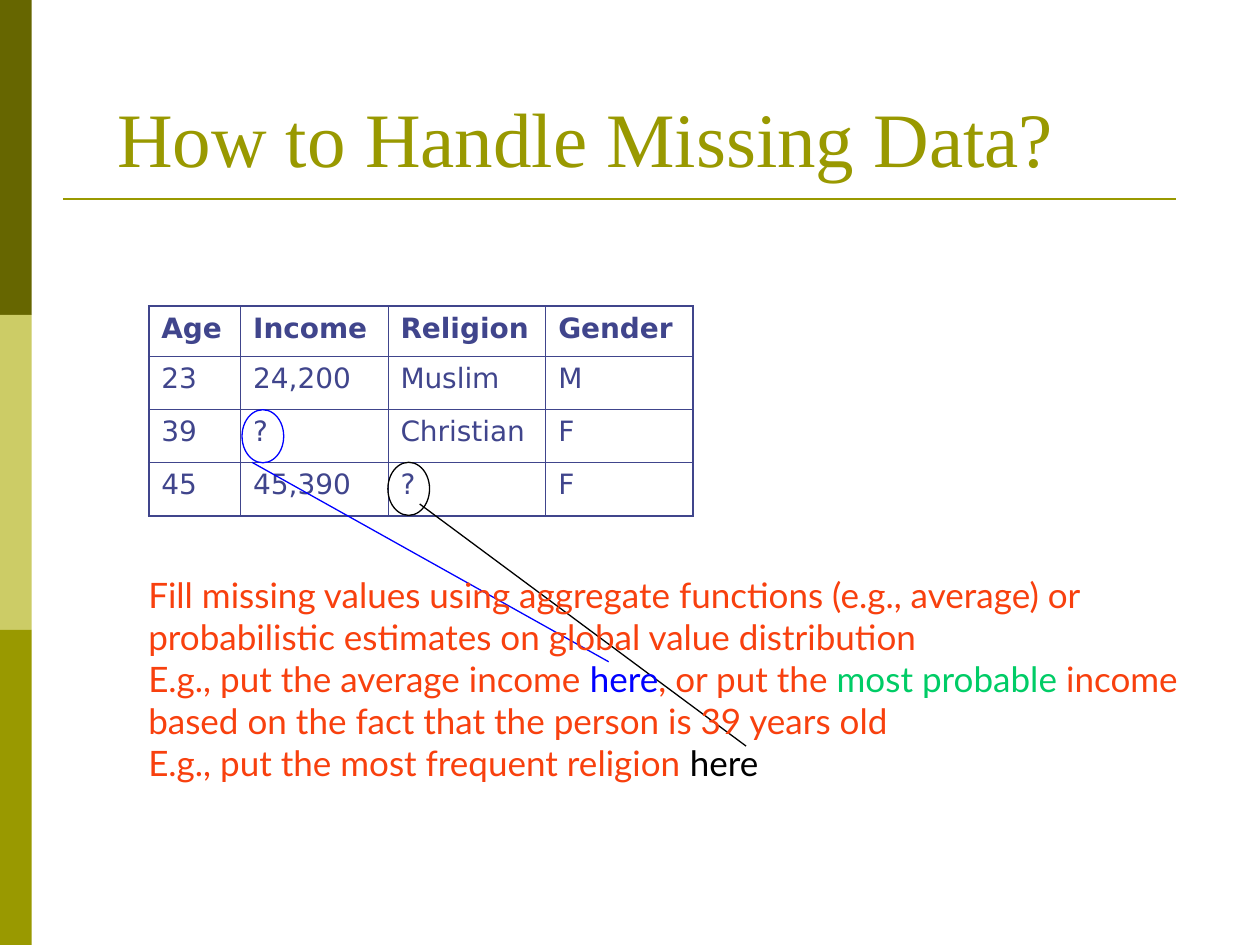
from lxml.etree import SubElement
from pptx import Presentation
from pptx.dml.color import RGBColor as RGB
from pptx.enum.shapes import MSO_CONNECTOR as LINK, MSO_SHAPE as SHAPE
from pptx.enum.text import MSO_ANCHOR as ANCHOR, MSO_AUTO_SIZE as FIT
from pptx.oxml import parse_xml
from pptx.oxml.ns import nsdecls, qn
from pptx.util import Cm, Pt

DARK = RGB(0x66, 0x66, 0x00)
PALE = RGB(0xCC, 0xCC, 0x66)
OLIVE = RGB(0x99, 0x99, 0x00)
INDIGO = RGB(0x40, 0x45, 0x8C)
BLUE = RGB(0x00, 0x00, 0xFF)
BLACK = RGB(0x00, 0x00, 0x00)
ORANGE = RGB(0xF8, 0x40, 0x0E)
GREEN = RGB(0x00, 0xCC, 0x66)

HEAD = {"name": "Times New Roman", "size": Pt(44)}
BODY = {"name": "Lato", "size": Pt(20)}
CELL = {"name": "DejaVu Sans", "size": Pt(16)}

THIN, THICK, PEN = 0.45, 1.08, 0.74
BAR_W, BAR_H = 0.64, 6.35
RING_W, RING_H = 0.84, 1.07

ROWS = [
    ["Age", "Income", "Religion", "Gender"],
    ["23", "24,200", "Muslim", "M"],
    ["39", "?", "Christian", "F"],
    ["45", "45,390", "?", "F"],
]
WIDTHS = [1.85, 2.97, 3.18, 2.97]
HEIGHTS = [1.02, 1.07, 1.07, 1.07]

NOTES = [
    [("Fill missing values using aggregate functions (e.g., average) or "
      "probabilistic estimates on global value distribution", ORANGE)],
    [("E.g., put the average income ", ORANGE), ("here", BLUE),
     (", or put the ", ORANGE), ("most probable", GREEN),
     (" income based on the fact that the person is 39 years old", ORANGE)],
    [("E.g., put the most frequent religion ", ORANGE), ("here", BLACK)],
]


def apply(item, style):
    """Set each named value on an object."""
    for key, value in style.items():
        setattr(item, key, value)


class Page:
    """Hold the slide and draw its elements, with lengths in cm."""

    def __init__(self, slide):
        """Keep the shapes of the slide."""
        self.shapes = slide.shapes

    def add_run(self, para, text, color, style):
        """Add one styled run to a paragraph."""
        run = para.add_run()
        run.text = text
        apply(run.font, style)
        run.font.color.rgb = color

    def shape(self, kind, box, fill=None, line=None):
        """Draw a preset shape with a plain fill or outline."""
        item = self.shapes.add_shape(kind, *map(Cm, box))
        item.shadow.inherit = False
        if fill is None:
            item.fill.background()
        else:
            item.fill.solid()
            item.fill.fore_color.rgb = fill
        if line is None:
            item.line.fill.background()
        else:
            item.line.color.rgb = line
            item.line.width = Pt(PEN)

    def line(self, ends, color, width=PEN):
        """Draw a straight line between two points."""
        item = self.shapes.add_connector(LINK.STRAIGHT, *map(Cm, ends))
        item.line.color.rgb = color
        item.line.width = Pt(width)
        SubElement(item._element.spPr, qn("a:effectLst"))

    def text(self, box, paras, style, **frame):
        """Put paragraphs of coloured runs in a text box."""
        body = self.shapes.add_textbox(*map(Cm, box)).text_frame
        apply(body, {"word_wrap": True, **frame})
        for num, runs in enumerate(paras):
            para = body.add_paragraph() if num else body.paragraphs[0]
            for text, color in runs:
                self.add_run(para, text, color, style)

    def edges(self, cell, sides):
        """Put a border of the given width on each side of a cell."""
        props = cell._tc.get_or_add_tcPr()
        for num, (side, width) in enumerate(sides.items()):
            props.insert(num, parse_xml(
                f'<a:ln{side} {nsdecls("a")} w="{Pt(width)}"><a:solidFill>'
                f'<a:srgbClr val="{INDIGO}"/></a:solidFill></a:ln{side}>'))

    def table(self, left, top, rows, widths, heights):
        """Draw a ruled table with a bold first row and a thick frame."""
        size = len(rows), len(widths)
        grid = self.shapes.add_table(*size, *map(
            Cm, (left, top, sum(widths), sum(heights)))).table
        apply(grid, {"first_row": False, "horz_banding": False})
        for col, width in zip(grid.columns, widths):
            col.width = Cm(width)
        for row, height in zip(grid.rows, heights):
            row.height = Cm(height)
        for r, row in enumerate(rows):
            for c, text in enumerate(row):
                cell = grid.cell(r, c)
                cell.fill.background()
                para = cell.text_frame.paragraphs[0]
                para.space_before = Pt(4)
                self.add_run(para, text, INDIGO, {**CELL, "bold": r == 0})
                outer = {"L": c == 0, "R": c == size[1] - 1,
                         "T": r == 0, "B": r == size[0] - 1}
                self.edges(cell, {side: THICK if edge else THIN
                                  for side, edge in outer.items()})


def main():
    """Build the slide and save it."""
    deck = Presentation()
    apply(deck, {"slide_width": Cm(25.4), "slide_height": Cm(19.05)})
    page = Page(deck.slides.add_slide(deck.slide_layouts[6]))

    for num, color in enumerate([DARK, PALE, OLIVE]):
        page.shape(SHAPE.RECTANGLE, (0, num * BAR_H, BAR_W, BAR_H), fill=color)
    page.line((1.27, 4.01, 23.7, 4.01), OLIVE, 1.5)
    page.text((2.11, 1.27, 19.48, 2.54),
              [[("How to Handle Missing Data?", OLIVE)]], HEAD,
              vertical_anchor=ANCHOR.BOTTOM)

    page.table(3, 6.17, ROWS, WIDTHS, HEIGHTS)
    marks = [
        ((4.88, 8.26), (12.27, 13.34, 5.08, 9.32), BLUE),
        ((7.82, 9.32), (15.04, 15.04, 8.46, 10.16), BLACK),
    ]
    for spot, ends, color in marks:
        page.shape(SHAPE.OVAL, (*spot, RING_W, RING_H), line=color)
        page.line(ends, color)
    page.text((2.74, 11.43, 21.84, 4.5), NOTES, BODY,
              auto_size=FIT.SHAPE_TO_FIT_TEXT)

    deck.save("out.pptx")


main()
